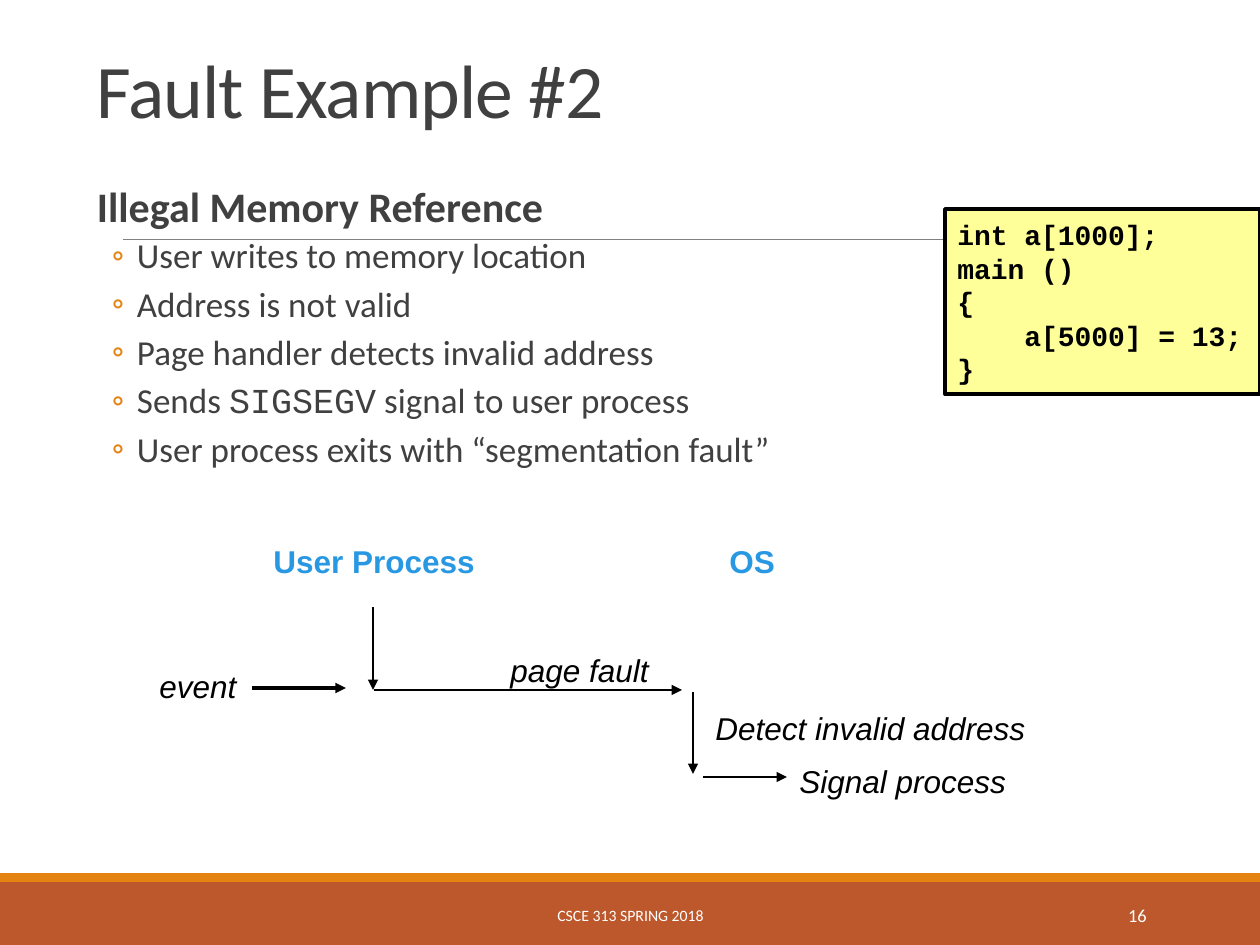
from dataclasses import dataclass

from lxml.etree import SubElement
from pptx import Presentation
from pptx.dml.color import RGBColor
from pptx.enum.shapes import MSO_CONNECTOR, MSO_SHAPE
from pptx.enum.text import MSO_ANCHOR, PP_ALIGN
from pptx.oxml.ns import qn
from pptx.util import Emu, Pt

PX = 914400 / 126
PAGE_WIDTH, PAGE_HEIGHT = 1260, 945


@dataclass(frozen=True)
class Theme:
    heading: str = "Calibri"
    label: str = "Arial"
    code: str = "Courier New"
    text: str = "404040"
    black: str = "000000"
    white: str = "FFFFFF"
    blue: str = "2998E3"
    orange: str = "E48312"
    rust: str = "BD582C"
    yellow: str = "FFFF99"
    rule: str = "808080"
    title_size: float = 43.2
    topic_size: float = 24
    bullet_size: float = 20
    label_size: float = 18
    code_size: float = 16
    number_size: float = 10.5
    footer_size: float = 9


def emu(px):
    return Emu(round(px * PX))


def color(value):
    return RGBColor.from_string(value)


def style(span, face, size, tint, bold=False, italic=False):
    font = span.font
    font.name, font.size, font.bold, font.italic = face, Pt(size), bold, italic
    font.color.rgb = color(tint)


def indent(para, margin, hanging=0):
    properties = para._p.get_or_add_pPr()
    properties.set("marL", str(emu(margin)))
    properties.set("indent", str(-emu(hanging)))
    return properties


def space(para, before, after, lines=0.9):
    para.space_before, para.space_after = Pt(before), Pt(after)
    para.line_spacing = lines


class SlideBuilder:
    def __init__(self, page, theme):
        self.page, self.theme = page, theme

    def rectangle(self, left, top, width, height, fill, line=None):
        box = self.page.shapes.add_shape(
            MSO_SHAPE.RECTANGLE, emu(left), emu(top), emu(width), emu(height))
        box.shadow.inherit = False
        box.fill.solid()
        box.fill.fore_color.rgb = color(fill)
        if line:
            box.line.color.rgb = color(line)
            box.line.width = Pt(2)
        else:
            box.line.fill.background()
        return box

    def line(self, start, end, tint, width, arrow=True):
        link = self.page.shapes.add_connector(
            MSO_CONNECTOR.STRAIGHT, *map(emu, start + end))
        link.line.color.rgb = color(tint)
        link.line.width = Pt(width)
        if arrow:
            SubElement(link.line._get_or_add_ln(), qn("a:tailEnd"), type="triangle")
        SubElement(link._element.spPr, qn("a:effectLst"))

    def frame(self, left, top, width, height, anchor=MSO_ANCHOR.TOP, wrap=True):
        box = self.page.shapes.add_textbox(emu(left), emu(top), emu(width), emu(height))
        frame = box.text_frame
        frame.word_wrap, frame.vertical_anchor = wrap, anchor
        return frame

    def title(self, text, *place):
        theme = self.theme
        frame = self.frame(*place, anchor=MSO_ANCHOR.BOTTOM, wrap=False)
        frame.text = text
        para = frame.paragraphs[0]
        para.line_spacing = 0.85
        span = para.runs[0]
        style(span, theme.heading, theme.title_size, theme.text)
        span._r.get_or_add_rPr().set("spc", "-50")

    def body(self, topic, bullets, *place):
        """Each bullet is a list of pieces; every second piece is code."""
        theme = self.theme
        frame = self.frame(*place)
        frame.margin_left = frame.margin_right = 0
        frame.text = topic
        para = frame.paragraphs[0]
        indent(para, 13)
        space(para, 12, 2)
        style(para.runs[0], theme.heading, theme.topic_size, theme.text, bold=True)
        for pieces in bullets:
            para = frame.add_paragraph()
            space(para, 2, 4)
            properties = indent(para, 53, 25)
            tint = SubElement(properties, qn("a:buClr"))
            SubElement(tint, qn("a:srgbClr"), val=theme.orange)
            SubElement(properties, qn("a:buFont"), typeface=theme.heading)
            SubElement(properties, qn("a:buChar"), char="◦")
            for index, piece in enumerate(pieces):
                span = para.add_run()
                span.text = piece
                face = theme.code if index % 2 else theme.heading
                style(span, face, theme.bullet_size, theme.text)

    def label(self, text, left, top, width, heading=False):
        theme = self.theme
        frame = self.frame(left, top, width, 50, wrap=False)
        frame.text = text
        style(frame.paragraphs[0].runs[0], theme.label, theme.label_size,
              theme.blue if heading else theme.black, bold=heading, italic=not heading)

    def code(self, lines, *place):
        """Each line is a pair of indent depth and text."""
        theme = self.theme
        frame = self.rectangle(*place, theme.yellow, theme.black).text_frame
        frame.word_wrap, frame.vertical_anchor = False, MSO_ANCHOR.MIDDLE
        frame.text = "\n".join(text for _, text in lines)
        for (depth, _), para in zip(lines, frame.paragraphs):
            para.alignment = PP_ALIGN.LEFT
            para.line_spacing = Pt(19.1)
            indent(para, 67 * depth)
            style(para.runs[0], theme.code, theme.code_size, theme.black, bold=True)

    def footer(self, text, left, width, size, alignment):
        frame = self.frame(left, 890, width, 50, anchor=MSO_ANCHOR.MIDDLE)
        frame.text = text
        para = frame.paragraphs[0]
        para.alignment = alignment
        style(para.runs[0], self.theme.heading, size, self.theme.white)


def main():
    deck = Presentation()
    deck.slide_width, deck.slide_height = emu(PAGE_WIDTH), emu(PAGE_HEIGHT)
    theme = Theme()
    slide = SlideBuilder(deck.slides.add_slide(deck.slide_layouts[6]), theme)

    slide.rectangle(0, 882, PAGE_WIDTH, 63, theme.rust)
    slide.rectangle(0, 873, PAGE_WIDTH, 9, theme.orange)
    slide.line((123, 239), (1153, 239), theme.rule, 0.5, arrow=False)

    slide.title("Fault Example #2", 84, 59, 655, 81)
    slide.body("Illegal Memory Reference", [
        ["User writes to memory location"],
        ["Address is not valid"],
        ["Page handler detects invalid address"],
        ["Sends ", "SIGSEGV", " signal to user process"],
        ["User process exits with “segmentation fault”"],
    ], 84, 180, 924, 503)

    for text, left, width in (("User Process", 261, 227), ("OS", 717, 71)):
        slide.label(text, left, 536, width, heading=True)
    for text, left, top, width in (
        ("page fault", 498, 645, 164),
        ("Detect invalid address", 703, 703, 348),
        ("event", 147, 661, 111),
        ("Signal process", 787, 756, 348),
    ):
        slide.label(text, left, top, width)
    for start, end, width in (
        ((373, 607), (373, 690), 1),
        ((374, 690), (682, 690), 1),
        ((693, 692), (693, 774), 1),
        ((703, 777), (787, 777), 1),
        ((252, 688), (346, 688), 2),
    ):
        slide.line(start, end, theme.black, width)

    slide.code([(0, "int a[1000];"), (0, "main ()"), (0, "{"),
                (1, "a[5000] = 13;"), (0, "}")], 945, 209, 315, 185)
    slide.footer("16", 1023, 136, theme.number_size, PP_ALIGN.RIGHT)
    slide.footer("CSCE 313 SPRING 2018", 381, 499, theme.footer_size, PP_ALIGN.CENTER)
    deck.save("out.pptx")


if __name__ == "__main__":
    main()
